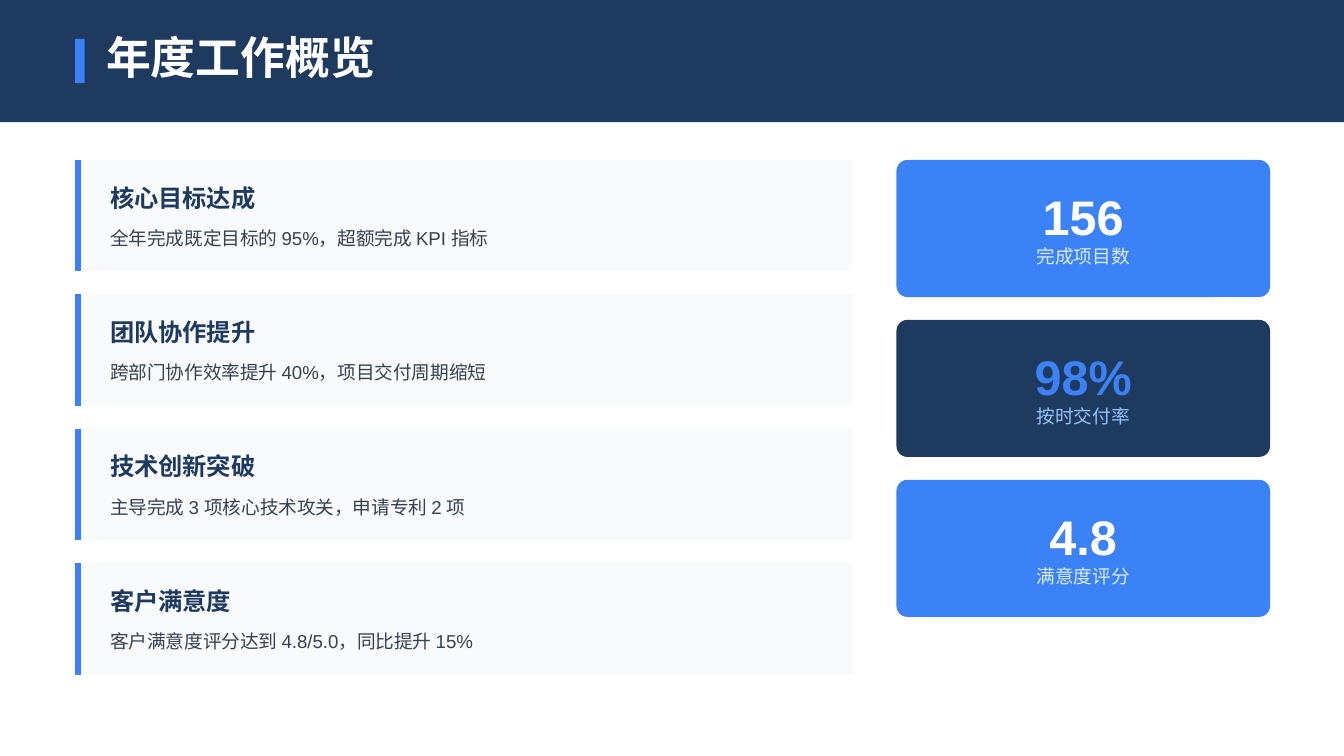
"""Build the annual work overview slide with goal cards and headline figures."""
from typing import NamedTuple

from lxml import etree
from pptx import Presentation
from pptx.dml.color import RGBColor
from pptx.enum.shapes import MSO_CONNECTOR, MSO_SHAPE
from pptx.enum.text import PP_ALIGN
from pptx.oxml.ns import qn
from pptx.util import Inches, Pt

RECT, ROUNDED = MSO_SHAPE.RECTANGLE, MSO_SHAPE.ROUNDED_RECTANGLE
STRAIGHT = MSO_CONNECTOR.STRAIGHT
LEFT, CENTER = PP_ALIGN.LEFT, PP_ALIGN.CENTER

FONT = "Arial"
COLORS = {
    "navy": "1E3A5F",
    "blue": "3B82F6",
    "white": "FFFFFF",
    "panel": "F8FAFC",
    "body": "374151",
    "pale": "DBEAFE",
    "sky": "93C5FD",
}
SLIDE_WIDTH = 10
SLIDE_HEIGHT = SLIDE_WIDTH * 9 / 16
CONTENT_TOP = 1.19
GOAL_LEFT, GOAL_WIDTH, GOAL_HEIGHT, GOAL_STEP = 0.56, 5.78, 0.83, 1.0
STAT_LEFT, STAT_WIDTH, STAT_HEIGHT, STAT_STEP = 6.67, 2.78, 1.02, 1.19
LABEL_WIDTH = 0.71


class Goal(NamedTuple):
    title: str
    detail: str


class Stat(NamedTuple):
    value: str
    label: str
    value_width: float
    fill: str
    value_color: str
    label_color: str


GOALS = [
    Goal("核心目标达成", "全年完成既定目标的 95%，超额完成 KPI 指标"),
    Goal("团队协作提升", "跨部门协作效率提升 40%，项目交付周期缩短"),
    Goal("技术创新突破", "主导完成 3 项核心技术攻关，申请专利 2 项"),
    Goal("客户满意度", "客户满意度评分达到 4.8/5.0，同比提升 15%"),
]
STATS = [
    Stat("156", "完成项目数", 0.61, "blue", "white", "pale"),
    Stat("98%", "按时交付率", 0.74, "navy", "blue", "sky"),
    Stat("4.8", "满意度评分", 0.51, "blue", "white", "pale"),
]


def rgb(name: str) -> RGBColor:
    return RGBColor.from_string(COLORS[name])


def add_block(s, x: float, y: float, w: float, h: float, fill: str, kind=RECT):
    sp = s.shapes.add_shape(kind, Inches(x), Inches(y), Inches(w), Inches(h))
    sp.shadow.inherit = False
    sp.fill.solid()
    sp.fill.fore_color.rgb = rgb(fill)
    sp.line.fill.background()
    return sp


def add_text(s, text: str, x: float, y: float, w: float, h: float, *, size: float,
             color: str, bold: bool = False, align=LEFT, before: float = 0,
             after: float = 0, leading: float | None = None) -> None:
    tf = s.shapes.add_textbox(Inches(x), Inches(y), Inches(w), Inches(h)).text_frame
    tf.word_wrap = True
    tf.margin_left = tf.margin_right = tf.margin_top = tf.margin_bottom = 0
    p = tf.paragraphs[0]
    p.alignment = align
    p.space_before, p.space_after = Pt(before), Pt(after)
    if leading:
        p.line_spacing = Pt(leading)
    r = p.add_run()
    r.text = text
    r.font.name, r.font.size, r.font.bold = FONT, Pt(size), bold
    r.font.color.rgb = rgb(color)


def add_accent(s, x: float, y: float, height: float) -> None:
    line = s.shapes.add_connector(STRAIGHT, Inches(x), Inches(y), Inches(x), Inches(y + height))
    line.line.color.rgb = rgb("blue")
    line.line.width = Pt(3)
    etree.SubElement(line._element.spPr, qn("a:effectLst"))


def add_header(s, title: str) -> None:
    add_block(s, 0, 0, SLIDE_WIDTH, 0.91, "navy")
    add_block(s, GOAL_LEFT, 0.29, 0.07, 0.33, "blue")
    add_text(s, title, 0.79, 0.22, 2.04, 0.47, size=24, color="white", bold=True)


def add_goal(s, goal: Goal, y: float) -> None:
    add_block(s, GOAL_LEFT, y, GOAL_WIDTH, GOAL_HEIGHT, "panel")
    add_accent(s, GOAL_LEFT + 0.02, y, GOAL_HEIGHT)
    x = GOAL_LEFT + 0.26
    add_text(s, goal.title, x, y + 0.17, 5.4, 0.25, size=13, color="navy", bold=True, after=4)
    add_text(s, goal.detail, x, y + 0.47, 5.4, 0.19, size=10, color="body", leading=14)


def add_stat(s, stat: Stat, y: float) -> None:
    card = add_block(s, STAT_LEFT, y, STAT_WIDTH, STAT_HEIGHT, stat.fill, ROUNDED)
    card.adjustments[0] = 0.08
    center = STAT_LEFT + STAT_WIDTH / 2
    add_text(s, stat.value, center - stat.value_width / 2, y + 0.2, stat.value_width, 0.41,
             size=26, color=stat.value_color, bold=True, align=CENTER)
    add_text(s, stat.label, center - LABEL_WIDTH / 2, y + 0.63, LABEL_WIDTH, 0.2,
             size=10, color=stat.label_color, align=CENTER, before=2)


def main() -> None:
    prs = Presentation()
    prs.slide_width, prs.slide_height = Inches(SLIDE_WIDTH), Inches(SLIDE_HEIGHT)
    s = prs.slides.add_slide(prs.slide_layouts[6])
    add_header(s, "年度工作概览")
    for i, goal in enumerate(GOALS):
        add_goal(s, goal, CONTENT_TOP + i * GOAL_STEP)
    for i, stat in enumerate(STATS):
        add_stat(s, stat, CONTENT_TOP + i * STAT_STEP)
    prs.save("out.pptx")


if __name__ == "__main__":
    main()
